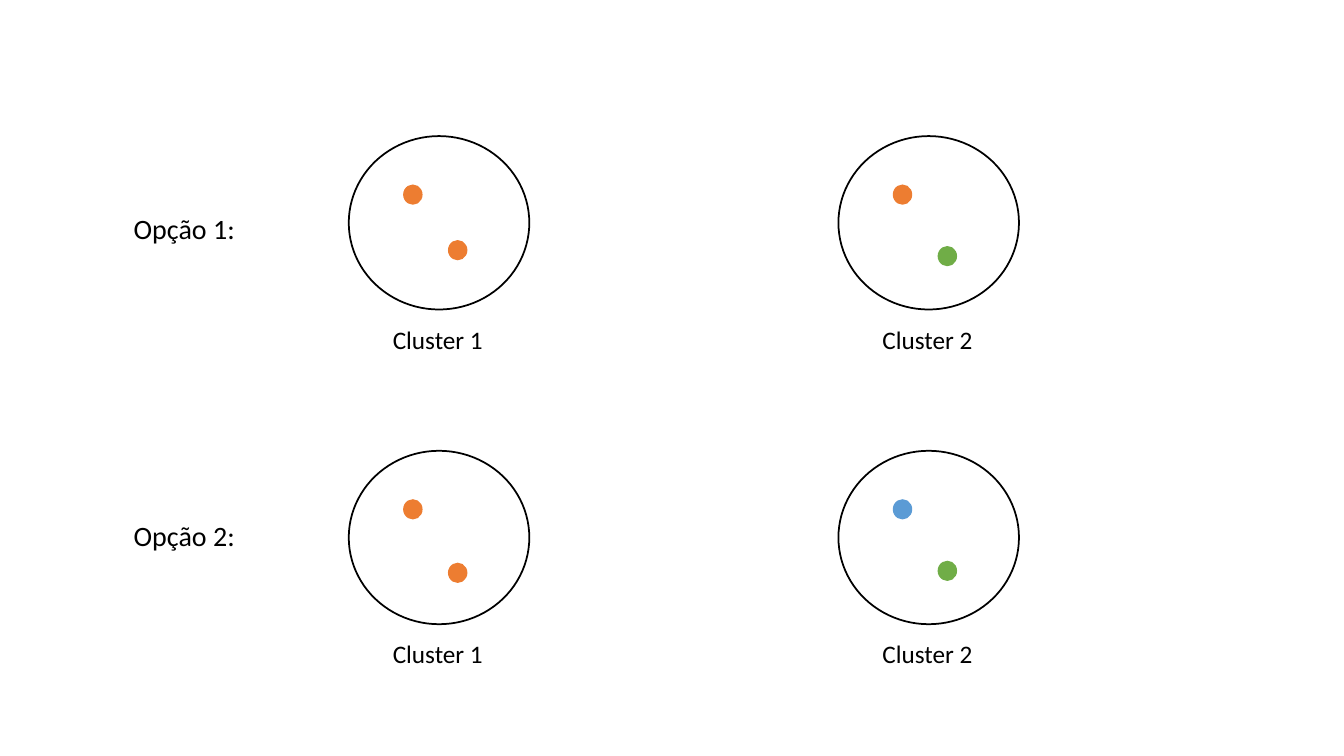
from dataclasses import dataclass

from pptx import Presentation
from pptx.dml.color import RGBColor
from pptx.enum.shapes import MSO_SHAPE
from pptx.enum.text import MSO_AUTO_SIZE
from pptx.shapes.autoshape import Shape
from pptx.slide import Slide
from pptx.util import Cm, Pt

BLACK = RGBColor(0x00, 0x00, 0x00)
ORANGE = RGBColor(0xED, 0x7D, 0x31)
GREEN = RGBColor(0x70, 0xAD, 0x47)
BLUE = RGBColor(0x5B, 0x9B, 0xD5)

FONT = "Calibri"
CLUSTER_W, CLUSTER_H = 4.55, 4.37
DOT_W, DOT_H = 0.49, 0.51
CLUSTER_LEFTS = (8.79, 21.13)
UPPER_DOT = (1.37, 1.22)  # offsets from the cluster's top left corner
LOWER_DOT_DX = 2.5
NAME_OFFSET = (0.86, 4.61)


@dataclass(frozen=True)
class Cluster:
    """Colours of the two points and the height of the lower one."""
    upper: RGBColor
    lower: RGBColor
    lower_dy: float


@dataclass(frozen=True)
class Option:
    """One row: its label, the tops of label and circles, its clusters."""
    label: str
    label_top: float
    top: float
    clusters: tuple[Cluster, ...]


OPTIONS = (
    Option("Opção 1:", 5.21, 3.43,
           (Cluster(ORANGE, ORANGE, 2.62), Cluster(ORANGE, GREEN, 2.77))),
    Option("Opção 2:", 12.95, 11.36,
           (Cluster(ORANGE, ORANGE, 2.82), Cluster(BLUE, GREEN, 2.77))),
)


def add_ellipse(slide: Slide, left: float, top: float,
                width: float, height: float) -> Shape:
    """Add an ellipse without shadow, measured in centimetres."""
    sp = slide.shapes.add_shape(
        MSO_SHAPE.OVAL, Cm(left), Cm(top), Cm(width), Cm(height))
    sp.shadow.inherit = False
    return sp


def add_dot(slide: Slide, left: float, top: float, color: RGBColor) -> None:
    """Add a filled data point."""
    sp = add_ellipse(slide, left, top, DOT_W, DOT_H)
    sp.fill.solid()
    sp.fill.fore_color.rgb = color
    sp.line.fill.background()


def add_label(slide: Slide, text: str, left: float, top: float,
              width: float, height: float, size: int) -> None:
    """Add a one-line label that fits its text."""
    sp = slide.shapes.add_textbox(Cm(left), Cm(top), Cm(width), Cm(height))
    tf = sp.text_frame
    tf.word_wrap = False
    tf.auto_size = MSO_AUTO_SIZE.SHAPE_TO_FIT_TEXT
    p = tf.paragraphs[0]
    p.text = text
    p.font.name = FONT
    p.font.size = Pt(size)
    p.font.color.rgb = BLACK


def add_cluster(slide: Slide, cluster: Cluster, name: str,
                left: float, top: float) -> None:
    """Add an outlined cluster with its two points and its name."""
    sp = add_ellipse(slide, left, top, CLUSTER_W, CLUSTER_H)
    sp.fill.background()
    sp.line.color.rgb = BLACK
    sp.line.width = Pt(1.25)
    dx, dy = UPPER_DOT
    add_dot(slide, left + dx, top + dy, cluster.upper)
    add_dot(slide, left + LOWER_DOT_DX, top + cluster.lower_dy, cluster.lower)
    dx, dy = NAME_OFFSET
    add_label(slide, name, left + dx, top + dy, 2.79, 1.02, 18)


def main() -> None:
    """Build the slide with both clustering options and save it."""
    prs = Presentation()
    prs.slide_width, prs.slide_height = Cm(33.87), Cm(19.05)
    slide = prs.slides.add_slide(prs.slide_layouts[6])
    for option in OPTIONS:
        add_label(slide, option.label, 3.12, option.label_top, 3.07, 1.12, 20)
        columns = zip(CLUSTER_LEFTS, option.clusters)
        for number, (left, cluster) in enumerate(columns, start=1):
            add_cluster(slide, cluster, f"Cluster {number}", left, option.top)
    prs.save("out.pptx")


main()
